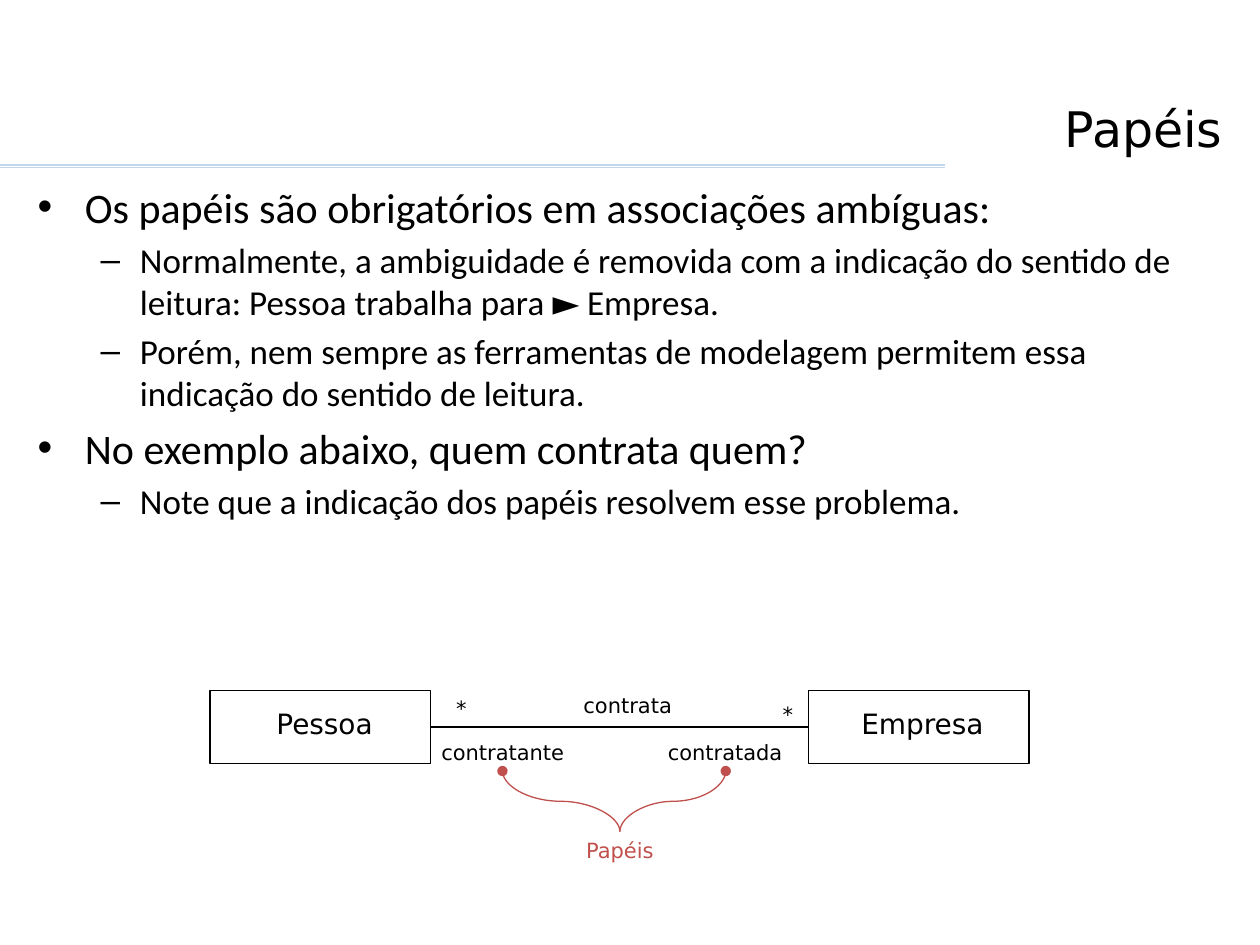
from pptx import Presentation
from pptx.dml.color import RGBColor
from pptx.enum.shapes import MSO_CONNECTOR, MSO_SHAPE
from pptx.enum.text import MSO_ANCHOR, PP_ALIGN
from pptx.oxml.ns import qn
from pptx.util import Pt
from lxml import etree

BLACK = RGBColor(0x00, 0x00, 0x00)
RED = RGBColor(0xC0, 0x50, 0x4D)
BLUE = RGBColor(0xC4, 0xD6, 0xEB)
LINE, CURVE = MSO_CONNECTOR.STRAIGHT, MSO_CONNECTOR.CURVE
RECT = MSO_SHAPE.RECTANGLE
TOP, BASE = MSO_ANCHOR.TOP, MSO_ANCHOR.BOTTOM
LEFT, MID, RIGHT = PP_ALIGN.LEFT, PP_ALIGN.CENTER, PP_ALIGN.RIGHT
SANS, BODY = "DejaVu Sans", "Calibri"

TITLE = "Papéis"
ITEMS = [
    (0, "Os papéis são obrigatórios em associações ambíguas:"),
    (1, "Normalmente, a ambiguidade é removida com a indicação do sentido de "
        "leitura: Pessoa trabalha para ► Empresa."),
    (1, "Porém, nem sempre as ferramentas de modelagem permitem essa "
        "indicação do sentido de leitura."),
    (0, "No exemplo abaixo, quem contrata quem?"),
    (1, "Note que a indicação dos papéis resolvem esse problema."),
]
LEVELS = [("•", 24, 27, -27), ("–", 20, 58.5, -22.5)]
RULES = [94.3, 95.8]
BOXES = [120, 462]
BOX_TOP, BOX_W, BOX_H = 394.4, 126, 42
LABELS = [
    ("Pessoa", 150.5, 400.3, 70, 16, BLACK),
    ("Empresa", 484.6, 400.3, 85, 16, BLACK),
    ("*", 252.7, 393.8, 22, 12, BLACK),
    ("*", 439.2, 397.4, 22, 12, BLACK),
    ("contrata", 326.2, 392.4, 65, 12, BLACK),
    ("contratante", 244.8, 419, 85, 12, BLACK),
    ("contratada", 374.4, 419, 80, 12, BLACK),
    ("Papéis", 327.6, 475.2, 53.3, 12, RED),
]
TIP = (354.2, 475.2)
DOTS = [(287.1, 270), (414.7, 90)]
DOT_TOP = 440.6

deck = Presentation()
deck.slide_width, deck.slide_height = Pt(720), Pt(540)
slide = deck.slides.add_slide(deck.slide_layouts[6])
shapes = slide.shapes


def link(kind, x1, y1, x2, y2, color):
    line = shapes.add_connector(kind, Pt(x1), Pt(y1), Pt(x2), Pt(y2))
    line.line.color.rgb = color
    line.line.width = Pt(0.75)
    etree.SubElement(line._element.spPr, qn("a:effectLst"))
    return line


def frame(x, y, w, h, wrap=True, anchor=TOP):
    text = shapes.add_textbox(Pt(x), Pt(y), Pt(w), Pt(h)).text_frame
    text.word_wrap = wrap
    text.vertical_anchor = anchor
    return text


def write(para, text, size, font, color=BLACK, align=LEFT):
    para.text = text
    para.alignment = align
    para.font.size = Pt(size)
    para.font.name = font
    para.font.color.rgb = color


def curve(x, turn):
    wide, high = abs(TIP[0] - x), TIP[1] - DOT_TOP
    mx, my = (x + TIP[0]) / 2, (DOT_TOP + TIP[1]) / 2
    side = high / 2 if turn == 270 else -high / 2
    line = link(CURVE, mx + side, my - wide / 2, mx - side, my + wide / 2, RED)
    line._element.spPr.find(qn("a:xfrm")).set("rot", str(turn * 60000))
    etree.SubElement(line.line._get_or_add_ln(), qn("a:headEnd"), type="oval")


for y in RULES:
    link(LINE, 0, y, 540, y, BLUE)

head = frame(13, 20.2, 692.6, 73.4, anchor=BASE)
write(head.paragraphs[0], TITLE, 28, SANS, align=RIGHT)

body = frame(14.4, 100.1, 692, 424.8)
for i, (level, text) in enumerate(ITEMS):
    mark, size, left, hang = LEVELS[level]
    para = body.add_paragraph() if i else body.paragraphs[0]
    props = para._p.get_or_add_pPr()
    props.set("marL", str(Pt(left)))
    props.set("indent", str(Pt(hang)))
    etree.SubElement(props, qn("a:buFont"), typeface="Arial")
    etree.SubElement(props, qn("a:buChar"), char=mark)
    para.level = level
    if i:
        para.space_before = Pt(size * 0.2)
    write(para, text, size, BODY)

for x in BOXES:
    box = shapes.add_shape(RECT, Pt(x), Pt(BOX_TOP), Pt(BOX_W), Pt(BOX_H))
    box.shadow.inherit = False
    box.fill.background()
    box.line.color.rgb = BLACK
    box.line.width = Pt(0.75)

axis = BOX_TOP + BOX_H / 2
link(LINE, BOXES[0] + BOX_W, axis, BOXES[1], axis, BLACK)

for text, x, y, w, size, color in LABELS:
    label = frame(x, y, w, 26.6 if size == 16 else 21.6, wrap=False)
    write(label.paragraphs[0], text, size, SANS, color, MID)

for x, turn in DOTS:
    curve(x, turn)

deck.save("out.pptx")
